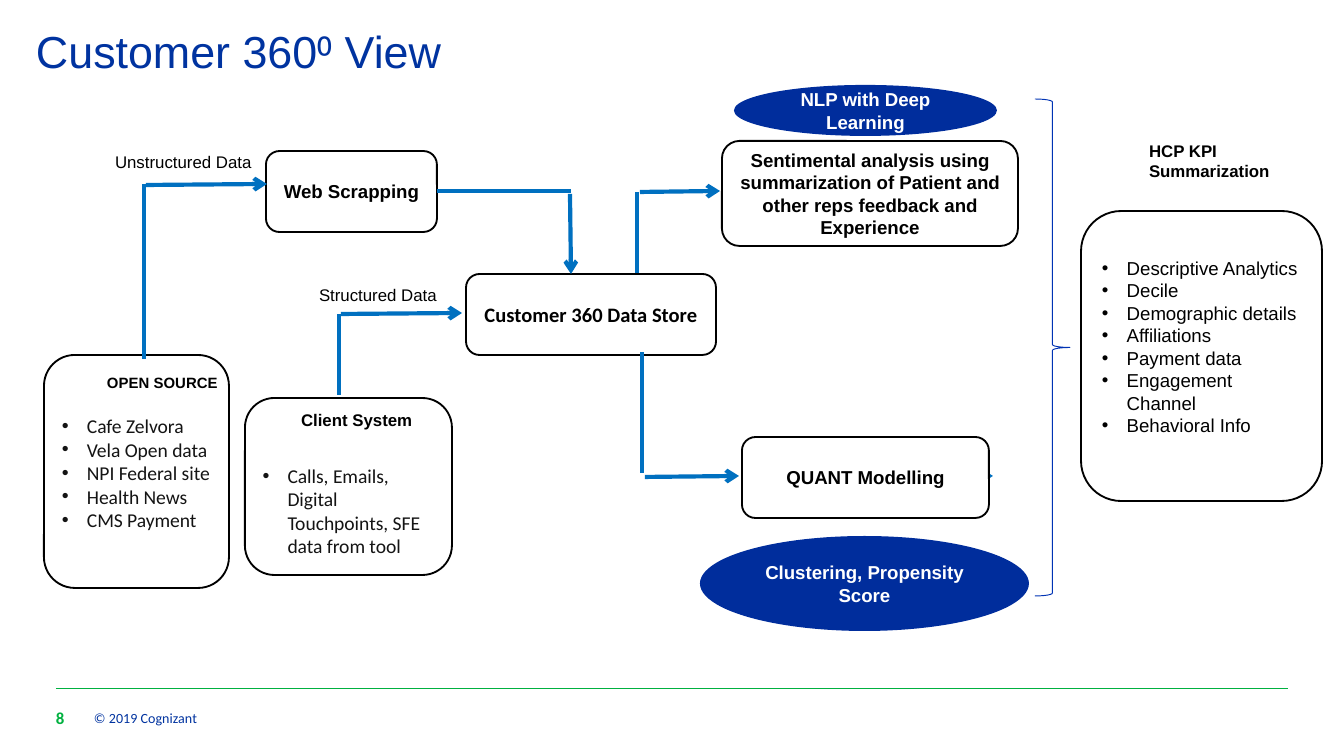
from dataclasses import dataclass

from lxml import etree
from pptx import Presentation
from pptx.dml.color import RGBColor
from pptx.enum.shapes import MSO_CONNECTOR, MSO_SHAPE
from pptx.enum.text import MSO_ANCHOR, PP_ALIGN
from pptx.oxml.ns import qn
from pptx.util import Emu, Pt

ROUNDED, OVAL, BRACE = MSO_SHAPE.ROUNDED_RECTANGLE, MSO_SHAPE.OVAL, MSO_SHAPE.RIGHT_BRACE
STRAIGHT = MSO_CONNECTOR.STRAIGHT
TOP, MIDDLE = MSO_ANCHOR.TOP, MSO_ANCHOR.MIDDLE
LEFT, CENTER = PP_ALIGN.LEFT, PP_ALIGN.CENTER
PX_PER_INCH = 134.4


@dataclass(frozen=True)
class Theme:
    sans: str = "Arial"
    humanist: str = "Calibri"
    title: str = "0033A0"
    green: str = "00B140"
    black: str = "000000"
    white: str = "FFFFFF"
    body: str = "141414"
    arrow: str = "0070C0"
    brace: str = "0033B4"
    oval: str = "002D9C"
    title_size: float = 24
    store_size: float = 11
    list_size: float = 10.5
    box_size: float = 10
    label_size: float = 9
    small_size: float = 8
    footer_size: float = 7.5


THEME = Theme()

# Content: text, (left, top, width, height) in px, format
TITLE = ("Customer 360⁰ View", (36, 30, 1232, 56))
COPYRIGHT = ("© 2019 Cognizant", (94, 706, 672, 23))
PAGE_NUMBER = ("8", (56, 706, 34, 23))
FOOTER_RULE = ((56, 689), (1288, 689))

STEPS = [
    ("Web Scrapping", (266, 151, 171, 81), {}),
    ("Sentimental analysis using summarization of Patient and other reps feedback and Experience",
     (722, 141, 296, 105), {}),
    ("Customer 360 Data Store", (466, 274, 250, 81),
     {"font": THEME.humanist, "size": THEME.store_size}),
    ("QUANT Modelling", (742, 437, 247, 81), {}),
]
SOURCE_STYLE = {"font": THEME.humanist, "size": THEME.list_size, "color": THEME.body}
# Lists carry the px kept free above the first bullet
LISTS = [
    (["Cafe Zelvora", "Vela Open data", "NPI Federal site", "Health News", "CMS Payment"],
     (44, 355, 185, 233), 50, SOURCE_STYLE),
    (["Calls, Emails, Digital Touchpoints, SFE data from tool"],
     (245, 398, 207, 177), 57, SOURCE_STYLE),
    (["Descriptive Analytics", "Decile", "Demographic details", "Affiliations",
      "Payment data", "Engagement Channel", "Behavioral Info"],
     (1081, 211, 241, 290), 34, {"size": THEME.box_size}),
]
LABELS = [
    ("Unstructured Data", (102, 145, 164, 34), {}),
    ("Structured Data", (306, 278, 164, 34), {}),
    ("OPEN SOURCE", (94, 367, 164, 32), {"size": THEME.small_size, "bold": True}),
    ("Client System", (288, 403, 164, 34), {"bold": True}),
    ("HCP KPI Summarization", (1136, 134, 184, 54), {"bold": True}),
]
OVALS = [
    ("NLP with Deep Learning", (734, 85, 263, 51)),
    ("Clustering, Propensity Score", (700, 536, 329, 95)),
]
BRACE_AREA = (1035, 99, 35, 497)

QUANT_OUTPUT = ((792, 477), (993, 476))
STEMS = [
    ((144, 359), (144, 184)),
    ((437, 191), (571, 191)),
    ((339, 395), (339, 314)),
    ((637, 273), (637, 192)),
    ((642, 473), (642, 352)),
]
ARROWS = [
    ((146, 185), (267, 184)),
    ((570, 194), (571, 274)),
    ((341, 314), (462, 313)),
    ((640, 192), (720, 191)),
    ((645, 477), (739, 476)),
]


def px(length):
    return Emu(round(length * 914400 / PX_PER_INCH))


def rgb(value):
    return RGBColor.from_string(value)


def write(box, text, *, font=THEME.sans, size=THEME.label_size, color=THEME.black, bold=False,
          align=LEFT, anchor=TOP, insets=(13, 7, 13, 7), bullets=False, spacing=None):
    """Fill a shape with one string or a list of paragraphs."""
    frame = box.text_frame
    frame.word_wrap = True
    frame.vertical_anchor = anchor
    (frame.margin_left, frame.margin_top,
     frame.margin_right, frame.margin_bottom) = map(px, insets)
    lines = [text] if isinstance(text, str) else text
    for index, line in enumerate(lines):
        para = frame.paragraphs[0] if index == 0 else frame.add_paragraph()
        para.alignment = align
        if spacing:
            para.line_spacing = spacing
        if bullets:
            properties = para._p.get_or_add_pPr()
            properties.set("marL", str(px(25)))
            properties.set("indent", str(-px(25)))
            etree.SubElement(properties, qn("a:buFont")).set("typeface", THEME.sans)
            etree.SubElement(properties, qn("a:buChar")).set("char", "•")
        span = para.add_run()
        span.text = line
        span.font.name, span.font.size, span.font.bold = font, Pt(size), bold
        span.font.color.rgb = rgb(color)


def add_text(page, text, area, **style):
    write(page.shapes.add_textbox(*map(px, area)), text, **style)


def add_box(page, preset, area, fill=None, line=None, width=1):
    box = page.shapes.add_shape(preset, *map(px, area))
    box.shadow.inherit = False
    if fill:
        box.fill.solid()
        box.fill.fore_color.rgb = rgb(fill)
    else:
        box.fill.background()
    if line:
        box.line.color.rgb = rgb(line)
        box.line.width = Pt(width)
    else:
        box.line.fill.background()
    return box


def add_line(page, start, end, color=THEME.arrow, width=2.25, arrow=False):
    line = page.shapes.add_connector(STRAIGHT, *map(px, start + end))
    line.line.color.rgb = rgb(color)
    line.line.width = Pt(width)
    if arrow:
        etree.SubElement(line.line._get_or_add_ln(), qn("a:tailEnd")).set("type", "arrow")
    etree.SubElement(line._element.spPr, qn("a:effectLst"))


def main():
    deck = Presentation()
    deck.slide_width, deck.slide_height = px(1344), px(756)
    page = deck.slides.add_slide(deck.slide_layouts[6])

    # Title and footer
    flush = (0, 0, 0, 0)
    add_line(page, *FOOTER_RULE, color=THEME.green, width=0.5)
    add_text(page, *TITLE, size=THEME.title_size, color=THEME.title, insets=flush, spacing=0.9)
    add_text(page, *COPYRIGHT, font=THEME.humanist, size=THEME.footer_size,
             color=THEME.title, anchor=MIDDLE, insets=flush)
    add_text(page, *PAGE_NUMBER, font=THEME.humanist, color=THEME.green, bold=True,
             anchor=MIDDLE, insets=flush)

    # Boxes, with the output arrow running behind the modelling step
    add_line(page, *QUANT_OUTPUT, arrow=True)
    for text, area, style in STEPS:
        box = add_box(page, ROUNDED, area, THEME.white, THEME.black)
        write(box, text, **{"size": THEME.box_size, **style}, bold=True,
              align=CENTER, anchor=MIDDLE, insets=(9, 5, 9, 5))
    for items, area, space_above, style in LISTS:
        box = add_box(page, ROUNDED, area, THEME.white, THEME.black)
        write(box, items, **style, bullets=True, insets=(9, space_above, 9, 5))
    for text, area, style in LABELS:
        add_text(page, text, area, **style)

    # Flow lines
    for start, end in STEMS:
        add_line(page, start, end)
    for start, end in ARROWS:
        add_line(page, start, end, arrow=True)

    # Brace and method ovals
    add_box(page, BRACE, BRACE_AREA, line=THEME.brace, width=0.5)
    for text, area in OVALS:
        write(add_box(page, OVAL, area, THEME.oval), text, size=THEME.box_size,
              color=THEME.white, bold=True, align=CENTER, anchor=MIDDLE)

    deck.save("out.pptx")


if __name__ == "__main__":
    main()
